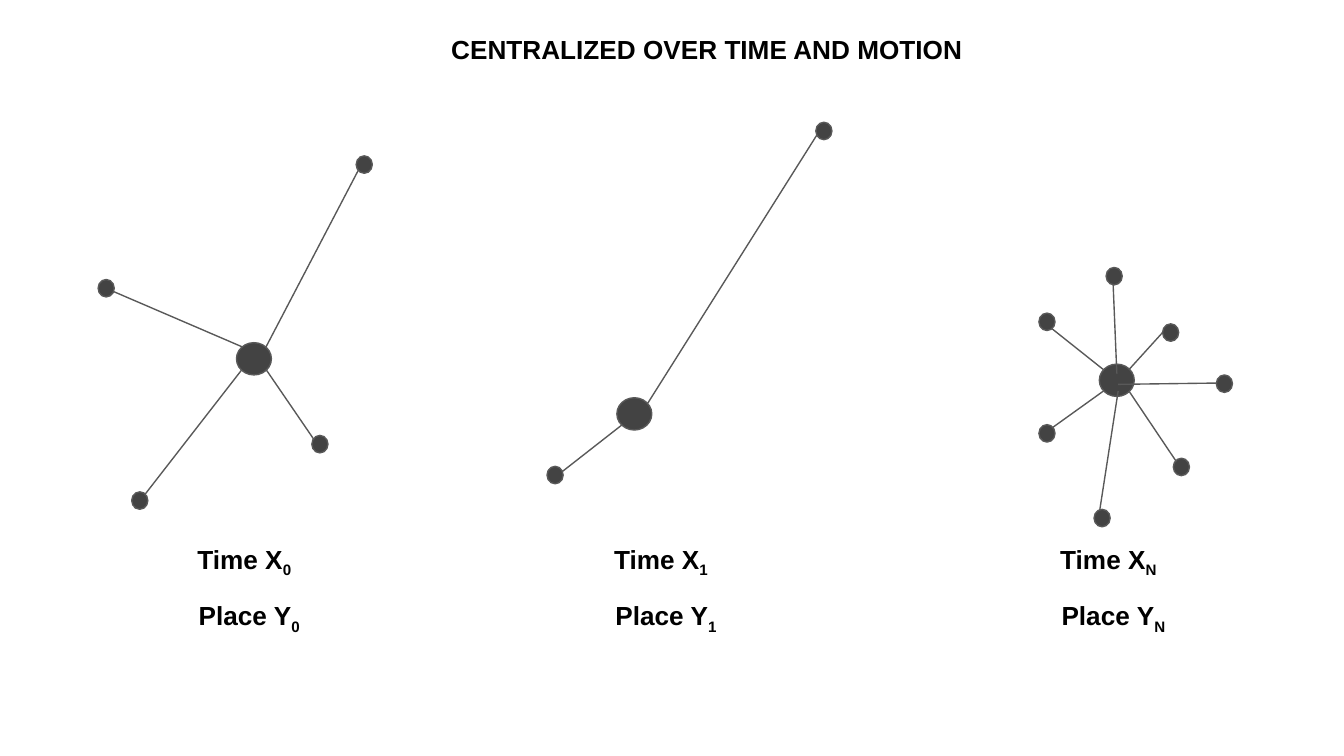
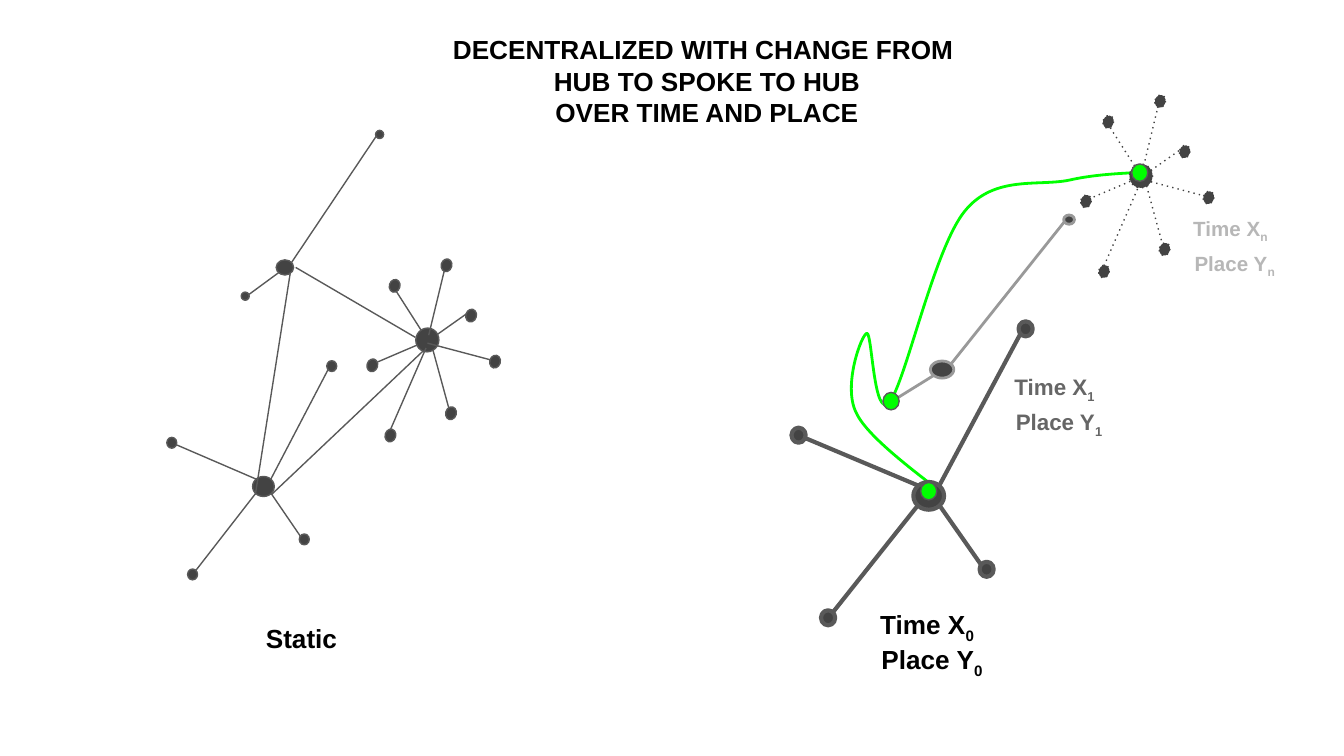
from math import cos, radians, sin

from lxml import etree
from pptx import Presentation
from pptx.dml.color import RGBColor
from pptx.enum.dml import MSO_LINE
from pptx.enum.shapes import MSO_CONNECTOR, MSO_SHAPE
from pptx.enum.text import PP_ALIGN
from pptx.oxml.ns import qn
from pptx.util import Inches, Pt

ELLIPSE = MSO_SHAPE.OVAL
STRAIGHT = MSO_CONNECTOR.STRAIGHT
ROUND_DOT = MSO_LINE.ROUND_DOT
LEFT, CENTER = PP_ALIGN.LEFT, PP_ALIGN.CENTER

FONT = "Arial"
COLORS = {
    "node": "434343",
    "line": "595959",
    "faded line": "999999",
    "path": "00FF00",
    "text": "000000",
    "grey text": "666666",
    "pale text": "B7B7B7",
}
HUB = (0.26, 0.24)
DOT = (0.12, 0.13)

NETS = {
    "first": {
        "hub": (1.89, 2.67),
        "spokes": [
            {"from": (1.98, 2.58), "to": (2.67, 1.26), "dot": (2.65, 1.16)},
            {"from": (1.98, 2.75), "to": (2.37, 3.32), "dot": (2.32, 3.24)},
            {"from": (1.80, 2.58), "to": (0.80, 2.15), "dot": (0.73, 2.08)},
            {"from": (1.80, 2.75), "to": (1.00, 3.78), "dot": (0.98, 3.66)},
        ],
    },
    "second": {
        "hub": (4.72, 3.08),
        "spokes": [
            {"from": (4.82, 3.00), "to": (6.10, 0.97), "dot": (6.07, 0.91)},
            {"from": (4.63, 3.16), "to": (4.17, 3.52), "dot": (4.07, 3.47)},
        ],
    },
    "last": {
        "hub": (8.31, 2.83),
        "spokes": [
            {"from": (8.40, 2.75), "to": (8.70, 2.42), "dot": (8.65, 2.41)},
            {"from": (8.40, 2.91), "to": (8.79, 3.49), "dot": (8.73, 3.41)},
            {"from": (8.21, 2.75), "to": (7.82, 2.44), "dot": (7.73, 2.33)},
            {"from": (8.21, 2.91), "to": (7.82, 3.19), "dot": (7.73, 3.16)},
            {"from": (8.31, 2.78), "to": (8.28, 2.06), "dot": (8.23, 1.99)},
            {"from": (8.32, 2.91), "to": (8.17, 3.88), "dot": (8.14, 3.79)},
            {"from": (9.07, 2.85), "to": (8.32, 2.86), "dot": (9.05, 2.79)},
        ],
    },
}

SOLID = ("line", 0.75, False)
THICK = ("line", 2.25, False)
FADED = ("faded line", 1.5, False)
DOTTED = ("node", 0.75, True)

STATIC_NETS = [
    ("first", (1.96, 3.62), (0.62, 0.62), 0, SOLID),
    ("second", (2.12, 1.99), (0.5, 0.47), 0, SOLID),
    ("last", (3.18, 2.53), (0.66, 0.74), 15.7, SOLID),
]
STATIC_LINKS = [
    ((2.02, 3.68), (3.15, 2.61)),
    ((2.20, 1.99), (3.09, 2.51)),
    ((2.16, 2.03), (1.90, 3.68)),
]
MOVING_NETS = [
    ("first", (6.91, 3.69), (0.88, 0.86), 0, THICK),
    ("second", (7.01, 2.75), (0.67, 0.53), 0, FADED),
    ("last", (8.49, 1.31), (0.66, 0.74), 15.7, DOTTED),
]
HUB_PATH = [
    (7.02, 3.68),
    (6.91, 3.58), (6.46, 3.27), (6.37, 3.07),
    (6.27, 2.87), (6.41, 2.49), (6.45, 2.48),
    (6.49, 2.47), (6.50, 3.14), (6.62, 2.99),
    (6.74, 2.84), (6.95, 1.85), (7.18, 1.57),
    (7.40, 1.30), (7.73, 1.39), (7.96, 1.34),
    (8.18, 1.29), (8.42, 1.29), (8.51, 1.28),
]
HUB_STOPS = [(6.85, 3.59), (6.57, 2.92), (8.42, 1.22)]

CENTRALIZED_TITLE = [["CENTRALIZED OVER TIME AND MOTION"]]
DECENTRALIZED_TITLE = [
    ["DECENTRALIZED WITH CHANGE FROM "],
    ["HUB TO SPOKE TO HUB", "OVER TIME AND PLACE"],
]
CENTRALIZED_LABELS = [
    ("0", 1.37, 3.94, 1.00, 14, "text"),
    ("1", 4.47, 3.94, 1.38, 14, "text"),
    ("N", 7.79, 3.94, 1.29, 14, "text"),
]
DECENTRALIZED_LABELS = [
    ("0", 6.45, 4.43, 1, 14, "text"),
    ("1", 7.45, 2.68, 1, 12, "grey text"),
    ("n", 8.78, 1.51, 1, 11, "pale text"),
]


def rgb(name):
    return RGBColor.from_string(COLORS[name])


def set_line(sp, style):
    color, width, dotted = style
    sp.line.color.rgb = rgb(color)
    sp.line.width = Pt(width)
    if dotted:
        sp.line.dash_style = ROUND_DOT
        next(sp._element.iter(qn("a:prstDash"))).set("val", "dot")


def add_node(shapes, center, size, style=SOLID, fill="node", angle=0):
    (x, y), (w, h) = center, size
    sp = shapes.add_shape(ELLIPSE, Inches(x - w / 2), Inches(y - h / 2), Inches(w), Inches(h))
    sp.rotation = angle
    sp.shadow.inherit = False
    sp.fill.solid()
    sp.fill.fore_color.rgb = rgb(fill)
    set_line(sp, style)


def add_link(shapes, start, end, style=SOLID):
    link = shapes.add_connector(STRAIGHT, *(Inches(v) for v in (*start, *end)))
    set_line(link, style)
    etree.SubElement(link._element.spPr, qn("a:effectLst"))


def dot_center(corner):
    return [v + size / 2 for v, size in zip(corner, DOT)]


def add_net(shapes, name, center=None, scale=(1, 1), angle=0, style=SOLID):
    hub, spokes = NETS[name]["hub"], NETS[name]["spokes"]
    center = center or hub
    c, s = cos(radians(angle)), sin(radians(angle))

    def place(point):
        x, y = ((p - h) * k for p, h, k in zip(point, hub, scale))
        return center[0] + x * c - y * s, center[1] + x * s + y * c

    def resize(size):
        return [v * k for v, k in zip(size, scale)]

    add_node(shapes, center, resize(HUB), style, angle=angle)
    for spoke in spokes:
        add_link(shapes, place(spoke["from"]), place(spoke["to"]), style)
    for spoke in spokes:
        add_node(shapes, place(dot_center(spoke["dot"])), resize(DOT), style, angle=angle)


def add_curve(shapes, points, style):
    start, *rest = [(Inches(x), Inches(y)) for x, y in points]
    builder = shapes.build_freeform(*start)
    builder.add_line_segments(rest, close=False)
    sp = builder.convert_to_shape()
    sp.shadow.inherit = False
    sp.fill.background()
    set_line(sp, style)
    segments = list(sp._element.iter(qn("a:lnTo")))
    outline = segments[0].getparent()
    for i in range(0, len(segments), 3):
        curve = etree.SubElement(outline, qn("a:cubicBezTo"))
        for segment in segments[i:i + 3]:
            curve.append(segment[0])
            outline.remove(segment)


def add_run(p, text, size, color, subscript=False):
    r = p.add_run()
    r.text = text
    r.font.name = FONT
    r.font.size = Pt(size)
    r.font.bold = True
    r.font.color.rgb = rgb(color)
    if subscript:
        r.font._element.set("baseline", "-25000")


def add_box(shapes, x, y, w):
    tf = shapes.add_textbox(Inches(x), Inches(y), Inches(w), Inches(0.43)).text_frame
    tf.word_wrap = True
    tf.margin_left = tf.margin_right = tf.margin_top = tf.margin_bottom = Inches(0.1)
    tf.paragraphs[0].alignment = LEFT
    return tf


def add_title(shapes, paragraphs):
    tf = add_box(shapes, 2.57, 0.15, 5.38)
    for i, lines in enumerate(paragraphs):
        p = tf.add_paragraph() if i else tf.paragraphs[0]
        p.alignment = CENTER
        for j, line in enumerate(lines):
            if j:
                p.add_line_break()
            add_run(p, line, 14, "text")


def add_labels(shapes, labels, row_gap):
    for index, x, y, w, size, color in labels:
        for row, word in enumerate(("Time X", "Place Y")):
            p = add_box(shapes, x + row * 0.01, y + row * row_gap, w).paragraphs[0]
            add_run(p, word, size, color)
            add_run(p, index, size, color, subscript=True)


def build_centralized(shapes):
    for name in NETS:
        add_net(shapes, name)
    add_labels(shapes, CENTRALIZED_LABELS, 0.42)
    add_title(shapes, CENTRALIZED_TITLE)


def build_decentralized(shapes):
    add_curve(shapes, HUB_PATH, ("path", 1.5, False))
    for net in STATIC_NETS:
        add_net(shapes.add_group_shape().shapes, *net)
    for start, end in STATIC_LINKS:
        add_link(shapes, start, end)
    for net in MOVING_NETS:
        add_net(shapes.add_group_shape().shapes, *net)
    add_title(shapes, DECENTRALIZED_TITLE)
    for stop in HUB_STOPS:
        add_node(shapes, dot_center(stop), DOT, fill="path")
    add_labels(shapes, DECENTRALIZED_LABELS, 0.26)
    add_run(add_box(shapes, 1.88, 4.53, 1).paragraphs[0], "Static", 14, "text")


def main():
    prs = Presentation()
    prs.slide_width = Inches(10)
    prs.slide_height = prs.slide_width * 9 // 16
    for build in (build_centralized, build_decentralized):
        build(prs.slides.add_slide(prs.slide_layouts[6]).shapes)
    prs.save("out.pptx")


if __name__ == "__main__":
    main()
